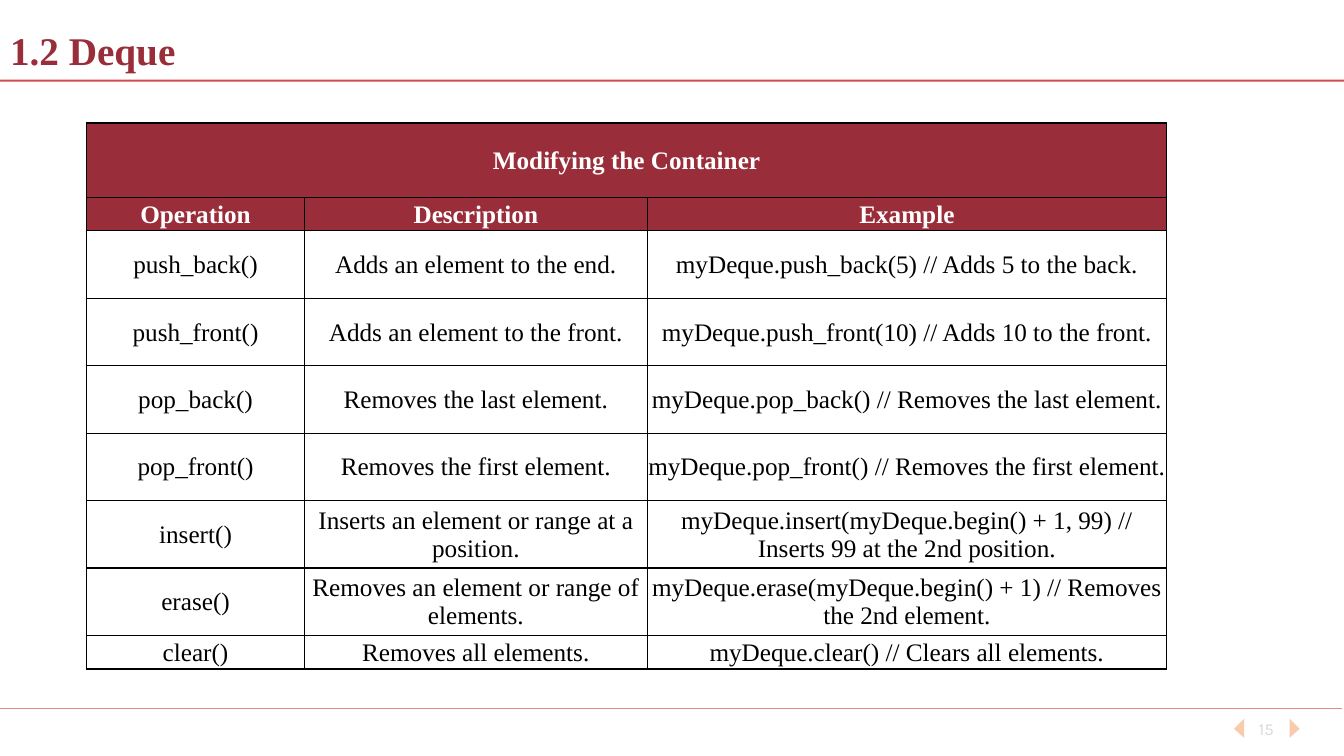
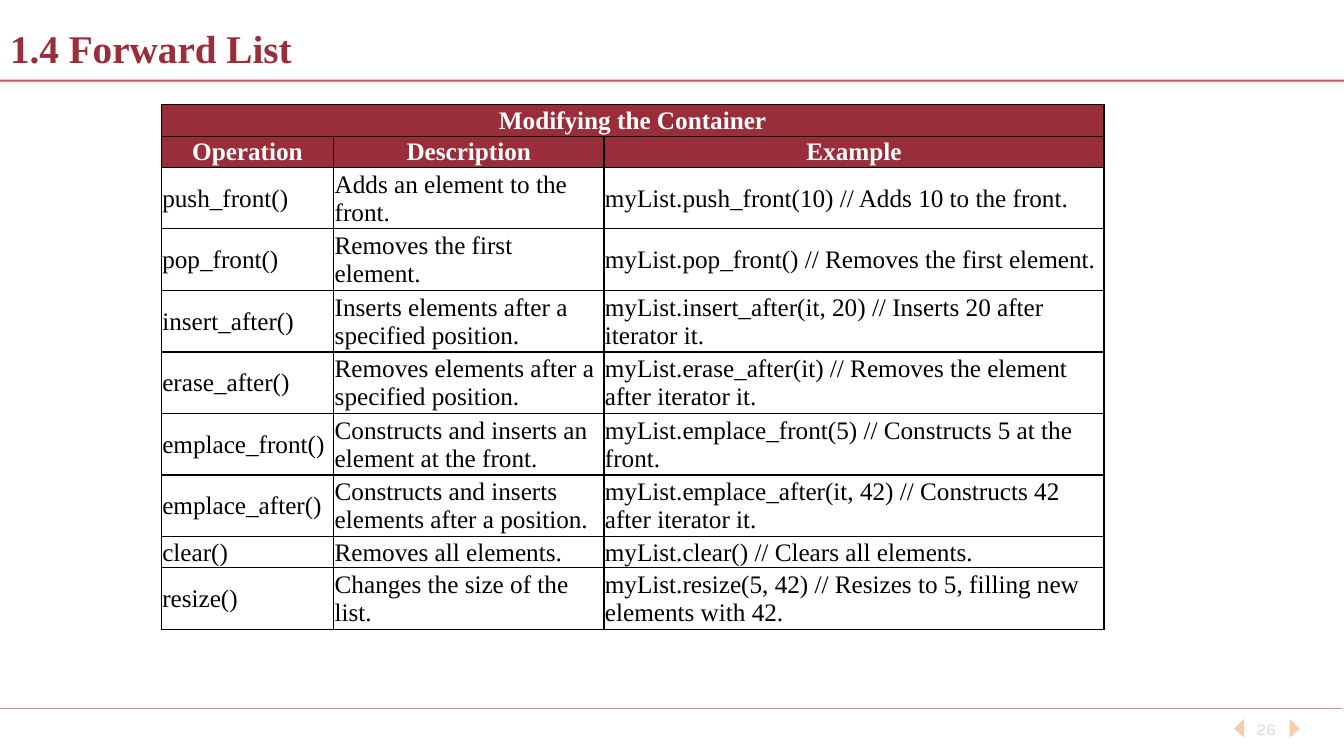
from dataclasses import dataclass

from lxml import etree
from pptx import Presentation
from pptx.dml.color import RGBColor
from pptx.enum.shapes import MSO_CONNECTOR
from pptx.enum.text import MSO_ANCHOR, MSO_AUTO_SIZE, PP_ALIGN
from pptx.oxml.ns import qn
from pptx.util import Inches, Pt


@dataclass(frozen=True)
class Theme:
    crimson: str = "992E3A"
    rule: str = "C00000"
    rule_alpha: int = 70
    peach: str = "F8CBAD"
    grey: str = "D9D9D9"
    white: str = "FFFFFF"
    black: str = "000000"
    font: str = "Times New Roman"
    number_font: str = "Karla"
    title_size: int = 28
    table_size: int = 18
    number_size: int = 12


T = Theme()

# Content
HEADING = "Modifying the Container"
COLUMNS = ("Operation", "Description", "Example")

DEQUE_ROWS = [
    ("push_back()", "Adds an element to the end.",
     "myDeque.push_back(5) // Adds 5 to the back."),
    ("push_front()", "Adds an element to the front.",
     "myDeque.push_front(10) // Adds 10 to the front."),
    ("pop_back()", "Removes the last element.",
     "myDeque.pop_back() // Removes the last element."),
    ("pop_front()", "Removes the first element.",
     "myDeque.pop_front() // Removes the first element."),
    ("insert()", "Inserts an element or range at a position.",
     "myDeque.insert(myDeque.begin() + 1, 99) // Inserts 99 at the 2nd position."),
    ("erase()", "Removes an element or range of elements.",
     "myDeque.erase(myDeque.begin() + 1) // Removes the 2nd element."),
    ("clear()", "Removes all elements.",
     "myDeque.clear() // Clears all elements."),
]

FORWARD_LIST_ROWS = [
    ("push_front()", "Adds an element to the front.",
     "myList.push_front(10) // Adds 10 to the front."),
    ("pop_front()", "Removes the first element.",
     "myList.pop_front() // Removes the first element."),
    ("insert_after()", "Inserts elements after a specified position.",
     "myList.insert_after(it, 20) // Inserts 20 after iterator it."),
    ("erase_after()", "Removes elements after a specified position.",
     "myList.erase_after(it) // Removes the element after iterator it."),
    ("emplace_front()", "Constructs and inserts an element at the front.",
     "myList.emplace_front(5) // Constructs 5 at the front."),
    ("emplace_after()", "Constructs and inserts elements after a position.",
     "myList.emplace_after(it, 42) // Constructs 42 after iterator it."),
    ("clear()", "Removes all elements.",
     "myList.clear() // Clears all elements."),
    ("resize()", "Changes the size of the list.",
     "myList.resize(5, 42) // Resizes to 5, filling new elements with 42."),
]

# Row heights are the table height shared out by weight
SLIDES = [
    dict(title="1.2 Deque", number="15", title_box=(0, 0.21, 2.06, 0.57),
         rows=DEQUE_ROWS, align=PP_ALIGN.CENTER, origin=(0.86, 1.22),
         widths=(2.16, 3.4, 5.15), height=5.42,
         weights=(2.2, 1, 2, 2, 2, 2, 2, 2, 1)),
    dict(title="1.4 Forward List", number="26", title_box=(0, 0.18, 3.23, 0.59),
         rows=FORWARD_LIST_ROWS, align=PP_ALIGN.LEFT, origin=(1.6, 1.04),
         widths=(1.71, 2.68, 4.96), height=5.18,
         weights=(1, 1, 2, 2, 2, 2, 2, 2, 1, 2)),
]


def style(p, size, color, font=T.font, bold=False, align=PP_ALIGN.LEFT):
    p.alignment = align
    for r in p.runs:
        f = r.font
        f.name, f.size, f.bold = font, Pt(size), bold
        f.color.rgb = RGBColor.from_string(color)


# Shared frame: two rules and the pager arrows
def add_rule(slide, y, right, weight):
    line = slide.shapes.add_connector(
        MSO_CONNECTOR.STRAIGHT, 0, Inches(y), Inches(right), Inches(y))
    line.line.color.rgb = RGBColor.from_string(T.rule)
    line.line.width = Pt(weight)
    color = next(line.element.iter(qn("a:srgbClr")))
    etree.SubElement(color, qn("a:alpha")).set("val", str(T.rule_alpha * 1000))
    etree.SubElement(line.element.spPr, qn("a:effectLst"))
    return line


def add_arrow(slide, base, tip):
    top, middle, bottom = Inches(7.13), Inches(7.23), Inches(7.32)
    builder = slide.shapes.build_freeform(Inches(base), top)
    builder.add_line_segments([(Inches(tip), middle), (Inches(base), bottom)])
    sp = builder.convert_to_shape()
    sp.shadow.inherit = False
    sp.fill.solid()
    sp.fill.fore_color.rgb = RGBColor.from_string(T.peach)
    sp.line.fill.background()
    return sp


def move_frame_to_layout(slide, layout):
    frame = [
        add_arrow(slide, 12.79, 12.89),
        add_arrow(slide, 12.34, 12.24),
        add_rule(slide, 7.03, 13.31, 0.5),
        add_rule(slide, 0.8, 13.33, 1.5),
    ]
    tree = layout.shapes.element
    for sp in frame:
        tree.append(sp.element)
    for i, props in enumerate(tree.iter(qn("p:cNvPr")), 1):
        props.set("id", str(i))


# Parts of each slide
def set_title(slide, text, box):
    sp = slide.shapes.title
    sp.left, sp.top, sp.width, sp.height = map(Inches, box)
    tf = sp.text_frame
    tf.text = text
    tf.word_wrap = False
    tf.auto_size = MSO_AUTO_SIZE.NONE
    tf.vertical_anchor = MSO_ANCHOR.MIDDLE
    style(tf.paragraphs[0], T.title_size, T.crimson, bold=True)


def add_number(slide, text):
    sp = slide.shapes.add_textbox(*map(Inches, (12.28, 7.03, 0.56, 0.4)))
    tf = sp.text_frame
    tf.text = text
    tf.word_wrap = True
    tf.vertical_anchor = MSO_ANCHOR.MIDDLE
    style(tf.paragraphs[0], T.number_size, T.grey, T.number_font,
          align=PP_ALIGN.CENTER)


def add_borders(cell):
    props = cell._tc.get_or_add_tcPr()
    for side in ("lnL", "lnR", "lnT", "lnB"):
        ln = etree.SubElement(props, qn(f"a:{side}"), w=str(Pt(1)))
        fill = etree.SubElement(ln, qn("a:solidFill"))
        etree.SubElement(fill, qn("a:srgbClr"), val=T.black)


def format_cell(cell, text, header, align):
    add_borders(cell)
    if header:
        cell.fill.solid()
        cell.fill.fore_color.rgb = RGBColor.from_string(T.crimson)
    else:
        cell.fill.background()
    cell.margin_left = cell.margin_right = cell.margin_top = Inches(0.01)
    cell.margin_bottom = 0
    cell.vertical_anchor = MSO_ANCHOR.MIDDLE
    cell.text_frame.text = text
    style(cell.text_frame.paragraphs[0], T.table_size,
          T.white if header else T.black, bold=header,
          align=PP_ALIGN.CENTER if header else align)


def add_operations(slide, rows, align, origin, widths, height, weights):
    grid = [(HEADING, "", ""), COLUMNS, *rows]
    left, top = origin
    table = slide.shapes.add_table(
        len(grid), len(widths), Inches(left), Inches(top),
        Inches(sum(widths)), Inches(height)).table
    table.first_row = table.horz_banding = False
    for column, width in zip(table.columns, widths):
        column.width = Inches(width)
    for row, weight in zip(table.rows, weights):
        row.height = Inches(height * weight / sum(weights))
    for i, texts in enumerate(grid):
        for j, text in enumerate(texts):
            format_cell(table.cell(i, j), text, i < 2, align)
    table.cell(0, 0).merge(table.cell(0, len(widths) - 1))


def main():
    prs = Presentation()
    prs.slide_width, prs.slide_height = Inches(13.33), Inches(7.5)
    layout = prs.slide_layouts.get_by_name("Title Only")
    for i, content in enumerate(SLIDES):
        part = dict(content)
        slide = prs.slides.add_slide(layout)
        if i == 0:
            move_frame_to_layout(slide, layout)
        set_title(slide, part.pop("title"), part.pop("title_box"))
        add_number(slide, part.pop("number"))
        add_operations(slide, **part)
    prs.save("out.pptx")


if __name__ == "__main__":
    main()
